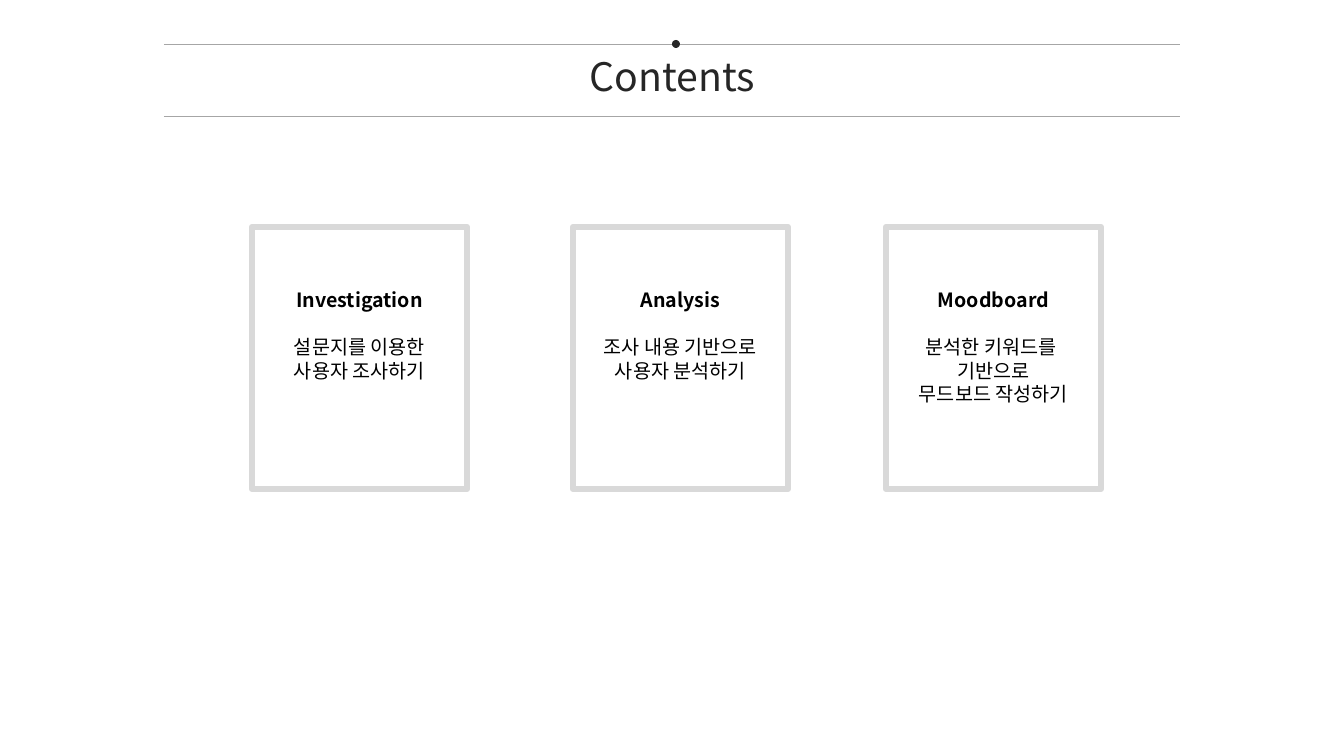
from lxml import etree
from pptx import Presentation
from pptx.dml.color import RGBColor
from pptx.enum.shapes import MSO_CONNECTOR, MSO_SHAPE
from pptx.enum.text import PP_ALIGN
from pptx.oxml.ns import qn
from pptx.util import Pt

LINE = MSO_CONNECTOR.STRAIGHT
OVAL = MSO_SHAPE.OVAL
RECT = MSO_SHAPE.RECTANGLE
CENTER = PP_ALIGN.CENTER

INK = RGBColor(0x26, 0x26, 0x26)
BLACK = RGBColor(0, 0, 0)
RULE = RGBColor(0xA6, 0xA6, 0xA6)
FRAME = RGBColor(0xD9, 0xD9, 0xD9)
FONT = "Noto Sans CJK KR"

TITLE = "Contents"
CARDS = [
    (252, "Investigation", ["설문지를 이용한", "사용자 조사하기"]),
    (573, "Analysis", ["조사 내용 기반으로", "사용자 분석하기"]),
    (886, "Moodboard", ["분석한 키워드를 ", "기반으로", "무드보드 작성하기"]),
]
RULES = [44, 116]
LEFT, RIGHT = 164, 1180
DOT = 8
CARD_TOP, CARD_W, CARD_H = 227, 215, 262
TEXT_TOP, ROW, PAD = 283, 24, 10

HEAD = {"size": Pt(28), "bold": False, "name": FONT}
NAME = {"size": Pt(14), "bold": True, "name": FONT}
BODY = {"size": Pt(14), "bold": False, "name": FONT}
GAP = Pt(17)


def px(*nums):
    return [round(n * 914400 / 100.8) for n in nums]


def add_text(slide, box, rows, color):
    """Add centred rows of (text, format, space before)."""
    frame = slide.shapes.add_textbox(*px(*box)).text_frame
    frame.word_wrap = True
    for i, (text, form, gap) in enumerate(rows):
        para = frame.add_paragraph() if i else frame.paragraphs[0]
        para.alignment = CENTER
        if gap:
            para.space_before = gap
        run = para.add_run()
        run.text = text
        for key, value in form.items():
            setattr(run.font, key, value)
        run.font.color.rgb = color
        east = etree.SubElement(run.font._element, qn("a:ea"))
        east.set("typeface", FONT)


def add_rule(slide, y):
    rule = slide.shapes.add_connector(LINE, *px(LEFT, y, RIGHT, y))
    rule.line.color.rgb = RULE
    rule.line.width = Pt(0.5)
    etree.SubElement(rule._element.spPr, qn("a:effectLst"))


def add_dot(slide):
    x = (LEFT + RIGHT + DOT) / 2 - DOT / 2
    dot = slide.shapes.add_shape(OVAL, *px(x, RULES[0] - DOT / 2, DOT, DOT))
    dot.shadow.inherit = False
    dot.fill.solid()
    dot.fill.fore_color.rgb = INK
    dot.line.fill.background()


def add_card(slide, x, name, body):
    card = slide.shapes.add_shape(RECT, *px(x, CARD_TOP, CARD_W, CARD_H))
    card.shadow.inherit = False
    card.fill.background()
    card.line.color.rgb = FRAME
    card.line.width = Pt(4.5)
    rows = [(name, NAME, None)]
    rows += [(text, BODY, None if i else GAP) for i, text in enumerate(body)]
    high = (len(rows) + 1) * ROW + PAD
    add_text(slide, (x, TEXT_TOP, CARD_W, high), rows, BLACK)


def main():
    deck = Presentation()
    deck.slide_width, deck.slide_height = px(1344, 756)
    slide = deck.slides.add_slide(deck.slide_layouts[6])
    add_text(slide, (490, 47, 365, 57), [(TITLE, HEAD, None)], INK)
    for y in RULES:
        add_rule(slide, y)
    add_dot(slide)
    for card in CARDS:
        add_card(slide, *card)
    deck.save("out.pptx")


if __name__ == "__main__":
    main()
